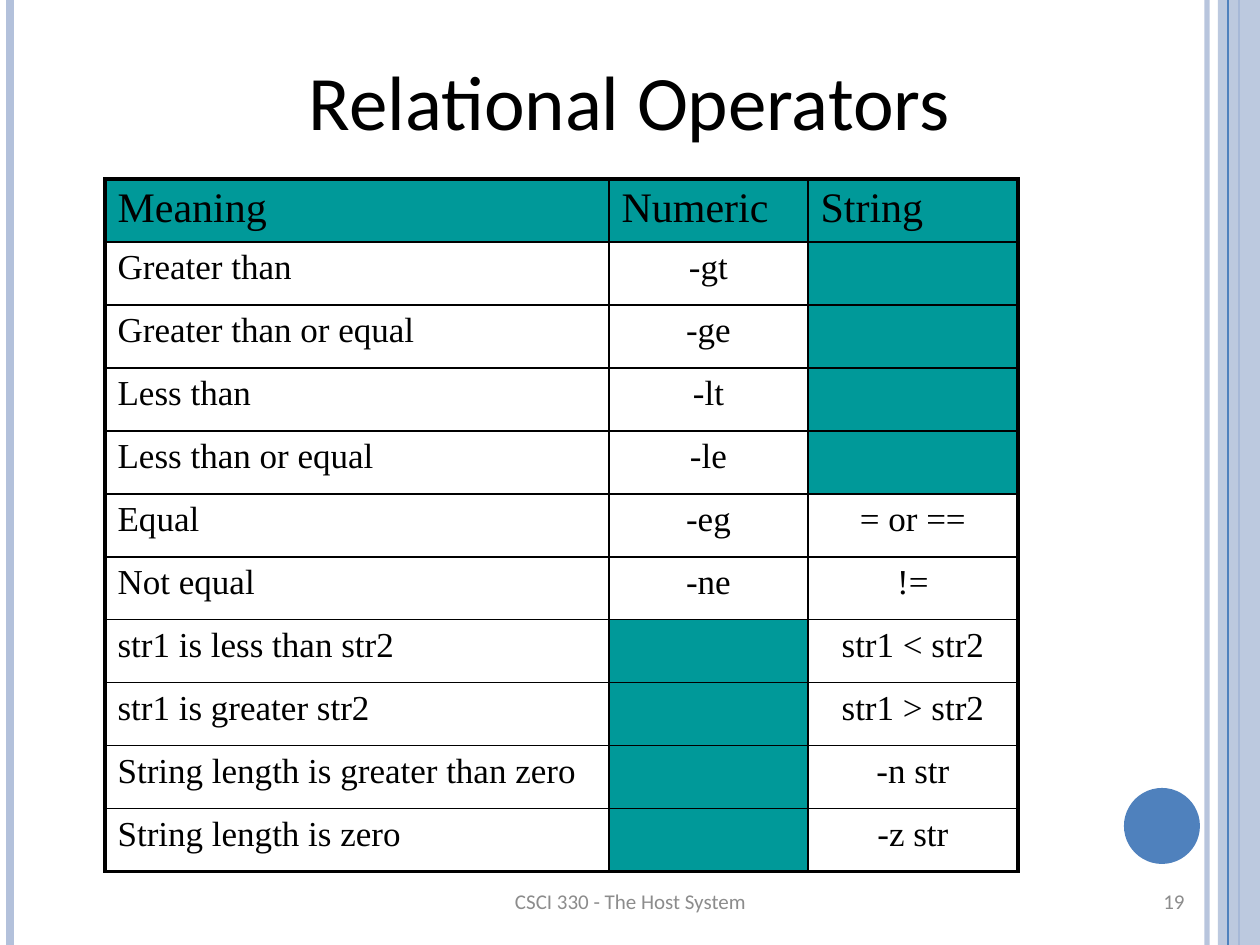
from pptx import Presentation
from pptx import util as u
from pptx.dml.color import RGBColor
from pptx.enum import shapes, text
from pptx.oxml import parse_xml
from pptx.oxml.ns import nsdecls, qn
from lxml import etree

theme = dict(
    pale="B3C1DB", blue="4F81BD", teal="009999", black="000000", grey="8C8C8C",
    sans="Calibri", serif="Times New Roman",
    title=44, head=24, body=20, foot=12, thin=1, thick=2.25,
)
left, center, right = text.PP_ALIGN.LEFT, text.PP_ALIGN.CENTER, text.PP_ALIGN.RIGHT
px = u.Inches(1) // 126

deck = Presentation()
deck.slide_width, deck.slide_height = 1260 * px, 945 * px
slide = deck.slides.add_slide(deck.slide_layouts[6])


def write(frame, words, size, font, color, align):
    para = frame.paragraphs[0]
    para.alignment = align
    run = para.add_run()
    run.text = words
    for key, value in dict(size=u.Pt(theme[size]), name=theme[font]).items():
        setattr(run.font, key, value)
    run.font.color.rgb = RGBColor.from_string(theme[color])


def fade(fill, percent):
    tint = fill._xPr.find(qn("a:solidFill"))[0]
    etree.SubElement(tint, qn("a:alpha")).set("val", str(percent * 1000))


forms = [
    ("line", 1207, "pale", 3, 93),
    ("line", 10, "pale", 4.5, 100),
    ("line", 1239, "blue", 1.5, 100),
    (shapes.MSO_SHAPE.RECTANGLE, (1218, 0, 42, 945), "pale", 0, 87),
    ("line", 1228, "blue", 0.75, 100),
    (shapes.MSO_SHAPE.OVAL, (1124, 788, 76, 76), "blue", 0, 100),
]
for kind, place, color, width, percent in forms:
    if kind == "line":
        form = slide.shapes.add_connector(
            shapes.MSO_CONNECTOR.STRAIGHT, place * px, 0, place * px, 945 * px)
        form.line.width = u.Pt(width)
        fill = form.line.fill
    else:
        form = slide.shapes.add_shape(kind, *[n * px for n in place])
        form.line.fill.background()
        fill = form.fill
    fill.solid()
    fill.fore_color.rgb = RGBColor.from_string(theme[color])
    if percent < 100:
        fade(fill, percent)
    etree.SubElement(form._element.spPr, qn("a:effectLst"))

labels = [
    ((94, 42, 1071, 116), "Relational Operators", "title", "black", center),
    ((431, 876, 399, 50), "CSCI 330 - The Host System", "foot", "grey", center),
    ((903, 876, 294, 50), "19", "foot", "grey", right),
]
for box, words, size, color, align in labels:
    frame = slide.shapes.add_textbox(*[n * px for n in box]).text_frame
    frame.word_wrap = True
    frame.vertical_anchor = text.MSO_ANCHOR.MIDDLE
    write(frame, words, size, "sans", color, align)

rows = [
    ("Meaning", "Numeric", "String"),
    ("Greater than", "-gt", ""),
    ("Greater than or equal", "-ge", ""),
    ("Less than", "-lt", ""),
    ("Less than or equal", "-le", ""),
    ("Equal", "-eg", "= or =="),
    ("Not equal", "-ne", "!="),
    ("str1 is less than str2", "", "str1 < str2"),
    ("str1 is greater str2", "", "str1 > str2"),
    ("String length is greater than zero", "", "-n str"),
    ("String length is zero", "", "-z str"),
]
widths = [504, 199, 210]
grid = slide.shapes.add_table(
    len(rows), len(widths), 105 * px, 179 * px, sum(widths) * px, 63 * len(rows) * px).table
grid.first_row = grid.horz_banding = False
for col, width in zip(grid.columns, widths):
    col.width = width * px

for r, row in enumerate(rows):
    grid.rows[r].height = 63 * px
    for c, words in enumerate(row):
        cell = grid.cell(r, c)
        edges = dict(L=c == 0, R=c == len(widths) - 1, T=r == 0, B=r == len(rows) - 1)
        for side, outer in edges.items():
            width = u.Pt(theme["thick" if outer else "thin"])
            cell._tc.get_or_add_tcPr().append(parse_xml(
                f'<a:ln{side} {nsdecls("a")} w="{width}"><a:solidFill>'
                f'<a:srgbClr val="{theme["black"]}"/></a:solidFill></a:ln{side}>'))
        if r == 0 or not words:
            cell.fill.solid()
            cell.fill.fore_color.rgb = RGBColor.from_string(theme["teal"])
        else:
            cell.fill.background()
        if words:
            write(cell.text_frame, words, "body" if r else "head", "serif", "black",
                  center if r and c else left)

deck.save("out.pptx")
